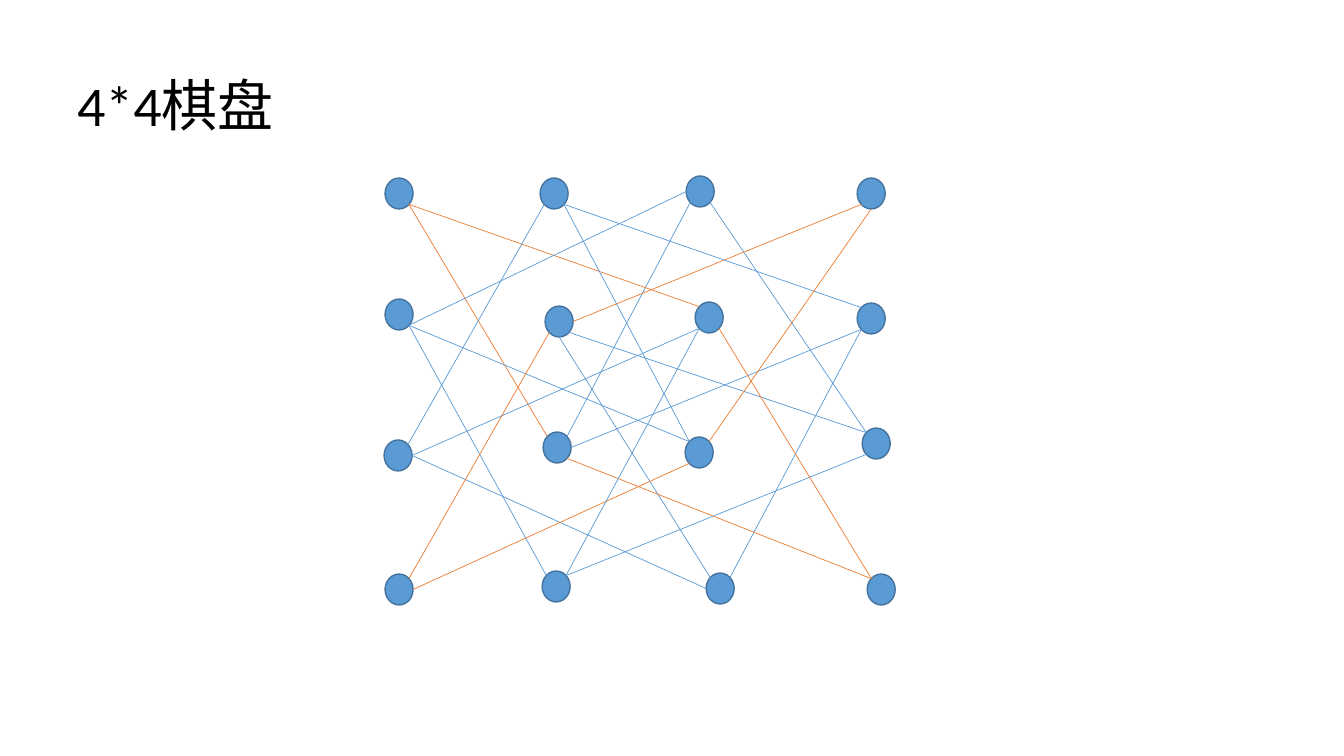
"""Build a slide showing the knight moves on a 4*4 chessboard."""
from lxml import etree
from pptx import Presentation
from pptx import util as u
from pptx.dml.color import RGBColor
from pptx.enum import shapes, text
from pptx.oxml.ns import qn

PIXEL = u.Inches(1) / 100.8
COLORS = {"node": "5B9BD5", "outline": "43739E", "move": "5B9BD5",
          "corner_move": "ED7D31", "title": "000000"}
NODE_WIDTH, NODE_HEIGHT = 28, 31
SQUARES = [
    [(385, 178), (540, 178), (686, 176), (857, 178)],
    [(385, 299), (545, 306), (695, 302), (857, 303)],
    [(384, 440), (543, 432), (685, 437), (862, 428)],
    [(385, 574), (542, 571), (706, 573), (867, 574)],
]
CORNERS = {(0, 0), (0, 3), (3, 0), (3, 3)}
SITES = {"E": (1, 0.5), "W": (0, 0.5), "S": (0.5, 1),
         "NW": (0.15, 0.15), "NE": (0.85, 0.15),
         "SW": (0.15, 0.85), "SE": (0.85, 0.85)}
MOVES = [
    ((0, 0), "SE", (2, 1), "NW"), ((2, 1), "NE", (0, 2), "SW"),
    ((0, 2), "SE", (2, 3), "NW"), ((0, 3), "SW", (1, 1), "E"),
    ((0, 0), "SE", (1, 2), "NW"), ((2, 3), "SW", (3, 1), "NE"),
    ((3, 1), "NW", (1, 0), "SE"), ((1, 0), "SE", (0, 2), "W"),
    ((1, 0), "SE", (2, 2), "NW"), ((0, 1), "SW", (2, 0), "NE"),
    ((0, 1), "SE", (2, 2), "NW"), ((0, 1), "SE", (1, 3), "NW"),
    ((2, 0), "E", (1, 2), "SW"), ((2, 0), "E", (3, 2), "W"),
    ((1, 3), "SW", (2, 1), "E"), ((1, 3), "SW", (3, 2), "NE"),
    ((2, 3), "NW", (1, 1), "SE"), ((1, 1), "SW", (3, 0), "NE"),
    ((1, 1), "S", (3, 2), "NW"), ((0, 3), "S", (2, 2), "NE"),
    ((1, 2), "SE", (3, 3), "NW"), ((2, 1), "SE", (3, 3), "NW"),
    ((3, 0), "E", (2, 2), "SW"), ((3, 1), "NE", (1, 2), "SW"),
]


def px(length):
    """Turn pixels into EMU."""
    return u.Emu(round(length * PIXEL))


def color(name):
    """Look up a named colour."""
    return RGBColor.from_string(COLORS[name])


def set_title(slide, words):
    """Place and format the title."""
    title = slide.shapes.title
    title.left, title.top, title.width, title.height = map(px, (67, 65, 219, 78))
    frame = title.text_frame
    frame.word_wrap = True
    frame.auto_size = text.MSO_AUTO_SIZE.SHAPE_TO_FIT_TEXT
    frame.vertical_anchor = text.MSO_ANCHOR.TOP
    para = frame.paragraphs[0]
    para.alignment = text.PP_ALIGN.LEFT
    span = para.add_run()
    span.text = words
    span.font.name = "Calibri"
    span.font.size = u.Pt(40)
    span.font.color.rgb = color("title")


def add_node(slide, left, top):
    """Draw one square of the board as an ellipse."""
    node = slide.shapes.add_shape(shapes.MSO_SHAPE.OVAL, px(left), px(top),
                                  px(NODE_WIDTH), px(NODE_HEIGHT))
    node.shadow.inherit = False
    node.fill.solid()
    node.fill.fore_color.rgb = color("node")
    node.line.color.rgb = color("outline")
    node.line.width = u.Pt(1)


def site_point(square, site):
    """Find a connection site on the edge of a node."""
    row, column = square
    left, top = SQUARES[row][column]
    across, down = SITES[site]
    return px(left + across * NODE_WIDTH), px(top + down * NODE_HEIGHT)


def add_move(slide, start, start_site, end, end_site):
    """Join two squares, with moves that touch a corner set apart by colour."""
    line = slide.shapes.add_connector(shapes.MSO_CONNECTOR.STRAIGHT,
                                      *site_point(start, start_site),
                                      *site_point(end, end_site))
    touches_corner = bool(CORNERS & {start, end})
    line.line.color.rgb = color("corner_move" if touches_corner else "move")
    line.line.width = u.Pt(0.5)
    etree.SubElement(line._element.spPr, qn("a:effectLst"))


def main():
    """Build and save the deck."""
    deck = Presentation()
    deck.slide_width, deck.slide_height = u.Inches(13.33), u.Inches(7.5)
    slide = deck.slides.add_slide(deck.slide_layouts.get_by_name("Title Only"))
    set_title(slide, "4*4棋盘")
    for row in SQUARES:
        for left, top in row:
            add_node(slide, left, top)
    for move in MOVES:
        add_move(slide, *move)
    deck.save("out.pptx")


main()
